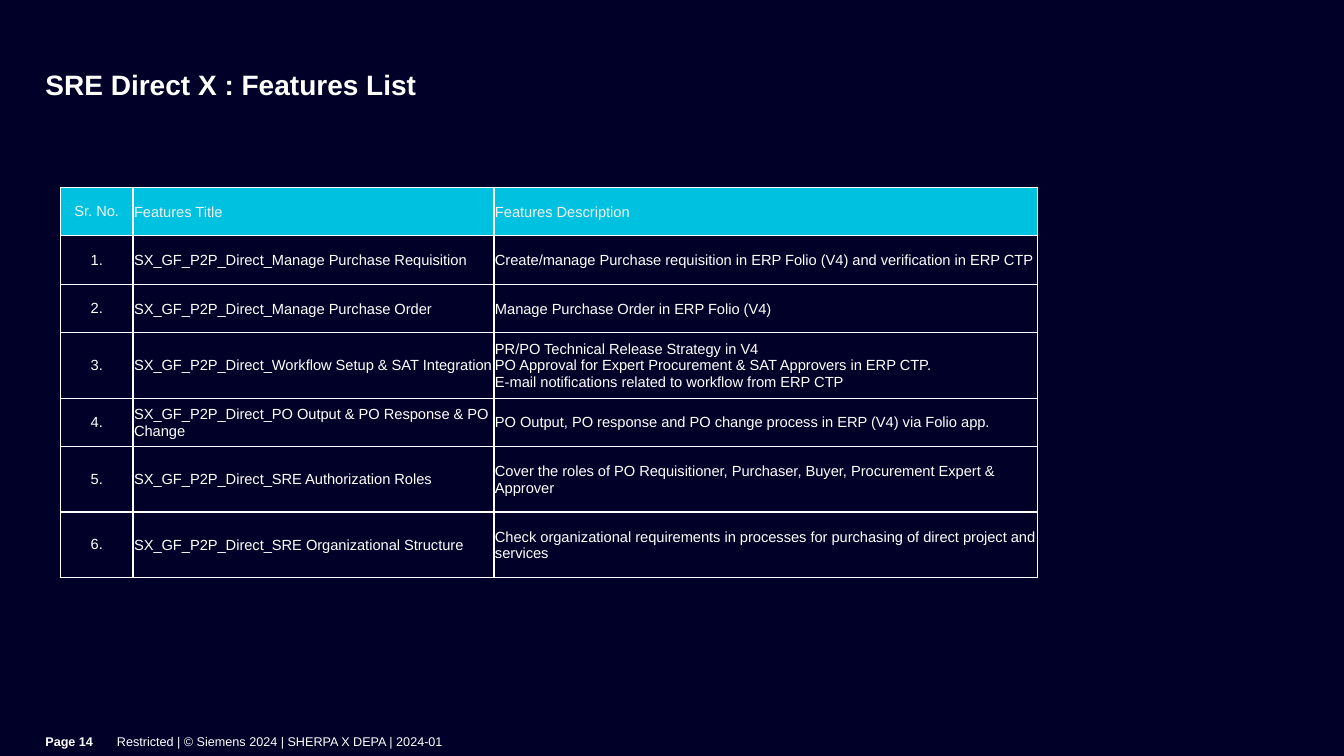
from lxml.etree import SubElement
from pptx import Presentation
from pptx.dml.color import RGBColor
from pptx.enum.text import MSO_ANCHOR as ANCHOR, PP_ALIGN as ALIGN
from pptx.oxml import parse_xml
from pptx.oxml.ns import nsdecls, qn
from pptx.util import Inches, Pt


def rgb(value):
    return RGBColor.from_string(value)


def write(tf, text, size, color, bold=False, align=ALIGN.LEFT, spacing=None):
    tf.word_wrap = True
    for i, line in enumerate(text.split("\n")):
        p = tf.paragraphs[0] if i == 0 else tf.add_paragraph()
        p.alignment = align
        p.line_spacing = spacing
        r = p.add_run()
        r.text = line
        r.font.color.rgb = rgb(color)
        for name, value in {"name": "Arial", "size": Pt(size), "bold": bold}.items():
            setattr(r.font, name, value)


NAVY, CYAN, WHITE, PALE = "000028", "00C1E0", "FFFFFF", "F3F3F0"

prs = Presentation()
prs.slide_width, prs.slide_height = Inches(13.33), Inches(7.5)
s = prs.slides.add_slide(prs.slide_layouts[6])
s.background.fill.solid()
s.background.fill.fore_color.rgb = rgb(NAVY)

texts = [
    ("SRE Direct X : Features List", (0.45, 0.71, 10.35, 0.63), (0.35, 0.02), ANCHOR.TOP, 20, True, 0.9),
    ("Restricted | © Siemens 2024 | SHERPA X DEPA | 2024-01", (1.16, 7.09, 10.08, 0.6), (0, 0.07), ANCHOR.MIDDLE, 9, False, None),
    ("Page 14", (0.45, 7.09, 0.71, 0.6), (0, 0.07), ANCHOR.MIDDLE, 9, True, None),
]
for text, box, (right, bottom), anchor, size, bold, spacing in texts:
    tf = s.shapes.add_textbox(*map(Inches, box)).text_frame
    margins = {"margin_left": 0, "margin_top": 0, "margin_right": right, "margin_bottom": bottom}
    for name, value in margins.items():
        setattr(tf, name, Inches(value))
    tf.vertical_anchor = anchor
    write(tf, text, size, WHITE, bold, spacing=spacing)

features = [
    ("Manage Purchase Requisition", "Create/manage Purchase requisition in ERP Folio (V4) and verification in ERP CTP"),
    ("Manage Purchase Order", "Manage Purchase Order in ERP Folio (V4)"),
    ("Workflow Setup & SAT Integration",
     "PR/PO Technical Release Strategy in V4\n"
     "PO Approval for Expert Procurement & SAT Approvers in ERP CTP.\n"
     "E-mail notifications related to workflow from ERP CTP"),
    ("PO Output & PO Response & PO Change", "PO Output, PO response and PO change process in ERP (V4) via Folio app."),
    ("SRE Authorization Roles", "Cover the roles of PO Requisitioner, Purchaser, Buyer, Procurement Expert & Approver"),
    ("SRE Organizational Structure",
     "Check organizational requirements in processes for purchasing of direct project and services"),
]
rows = [("Sr. No.", "Features Title", "Features Description")]
for number, (title, description) in enumerate(features, 1):
    rows.append((f"{number}.", f"SX_GF_P2P_Direct_{title}", description))
widths = [0.72, 3.58, 5.39]
heights = [0.48, 0.48, 0.48, 0.65, 0.48, 0.65, 0.65]

table = s.shapes.add_table(len(rows), len(widths), Inches(0.6), Inches(1.86),
                           Inches(sum(widths)), Inches(sum(heights))).table
table.horz_banding = False
for col, width in zip(table.columns, widths):
    col.width = Inches(width)
for row, height in zip(table.rows, heights):
    row.height = Inches(height)

for i, row in enumerate(rows):
    for j, text in enumerate(row):
        cell = table.cell(i, j)
        cell.vertical_anchor = ANCHOR.MIDDLE
        if j > 0:
            margins = {"margin_left": 0.01, "margin_top": 0.01, "margin_right": 0.01, "margin_bottom": 0}
            for name, value in margins.items():
                setattr(cell, name, Inches(value))
        write(cell.text_frame, text, 10.5, WHITE if i else PALE,
              align=ALIGN.LEFT if j else ALIGN.CENTER)
        tcPr = cell._tc.get_or_add_tcPr()
        for side in "LRTB":
            tcPr.append(parse_xml(
                f'<a:ln{side} {nsdecls("a")} w="12700"><a:solidFill>'
                f'<a:srgbClr val="{WHITE}"/></a:solidFill></a:ln{side}>'))
        if i > 0 and i % 2 == 0:
            cell.fill.background()
            continue
        cell.fill.solid()
        cell.fill.fore_color.rgb = rgb(NAVY if i else CYAN)
        if i > 0:
            color = tcPr.find(qn("a:solidFill")).find(qn("a:srgbClr"))
            SubElement(color, qn("a:alpha")).set("val", "5000")

prs.save("out.pptx")
